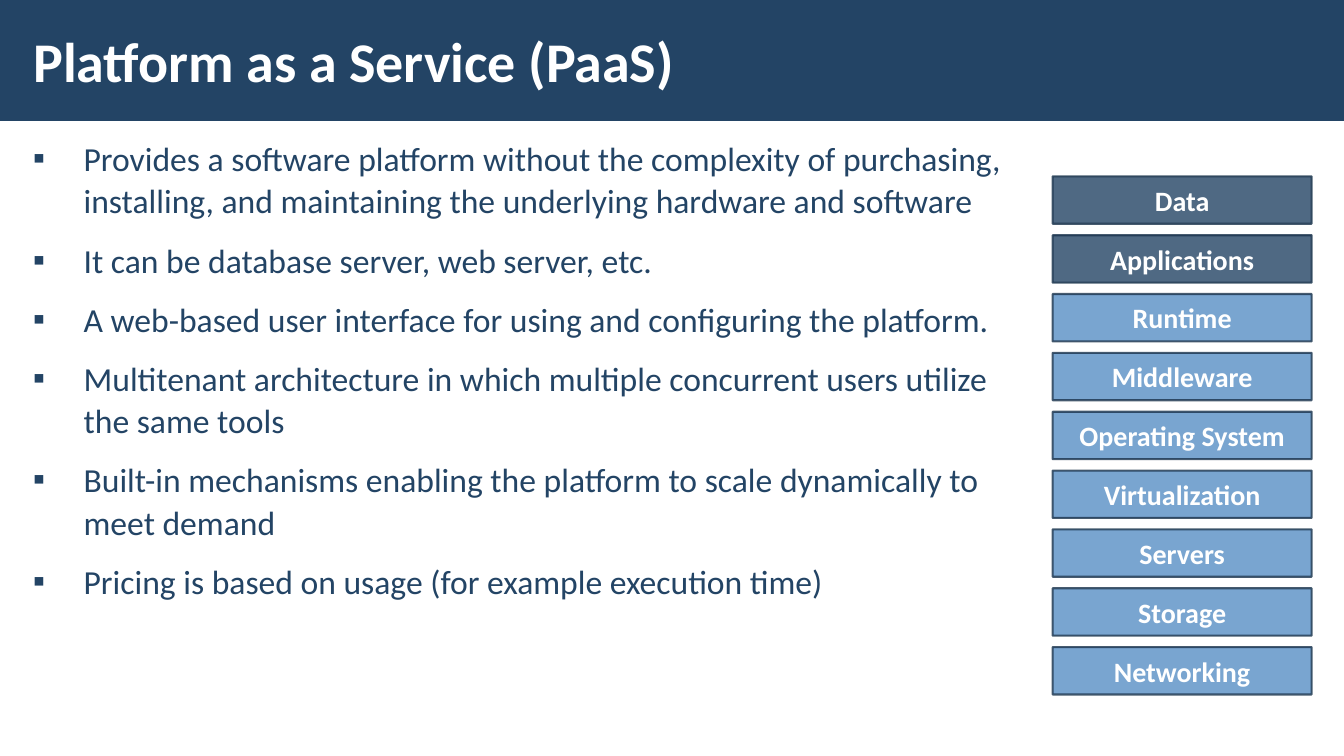
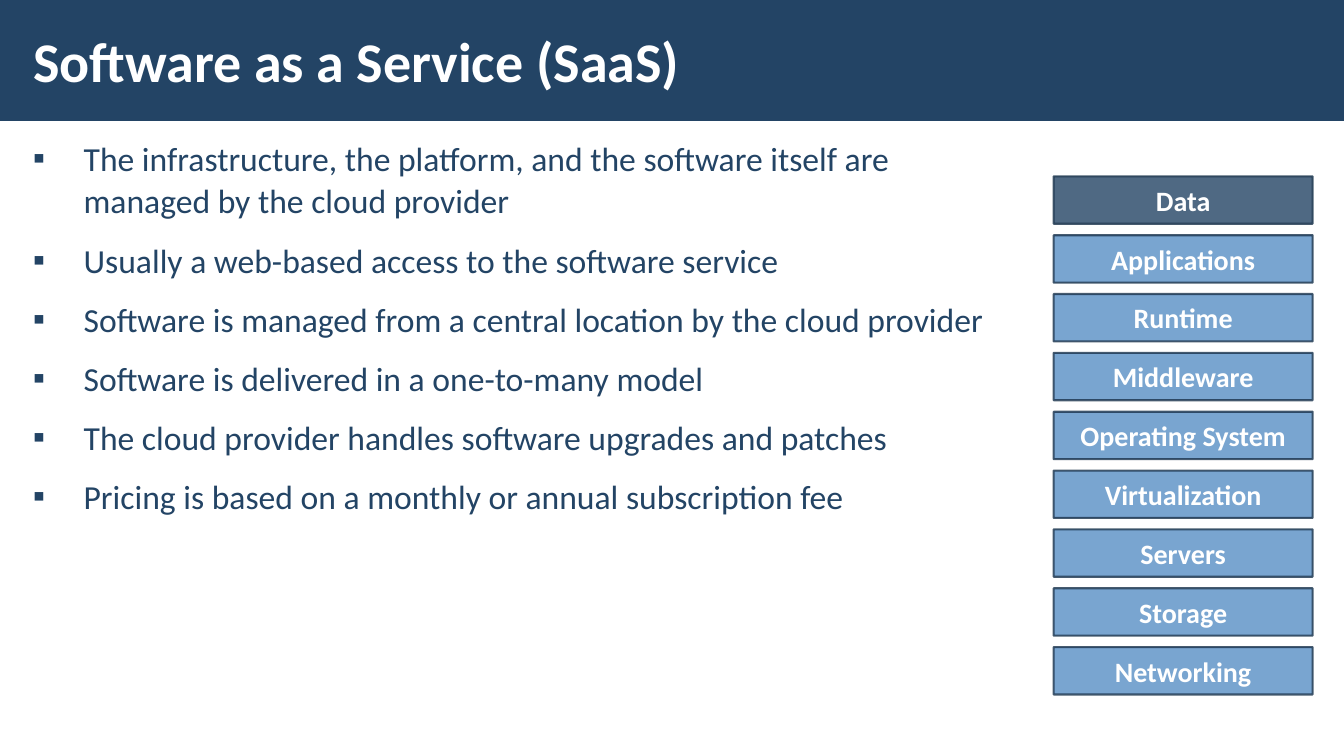
from lxml.etree import SubElement
from pptx import Presentation
from pptx.dml.color import RGBColor
from pptx.enum.shapes import MSO_SHAPE as SHAPE
from pptx.enum.text import MSO_ANCHOR as ANCHOR, MSO_AUTO_SIZE as AUTO, PP_ALIGN as ALIGN
from pptx.oxml.ns import qn
from pptx.util import Inches, Pt

NAVY = RGBColor(0x23, 0x44, 0x65)
BLUE = RGBColor(0x58, 0x8F, 0xC5)
EDGE = RGBColor(0x1A, 0x33, 0x4C)
WHITE = RGBColor(0xFF, 0xFF, 0xFF)
FONT = "Calibri"

LAYERS = ["Data", "Applications", "Runtime", "Middleware", "Operating System",
          "Virtualization", "Servers", "Storage", "Networking"]

SLIDES = [
    {
        "title": "Platform as a Service (PaaS)",
        "bullets": [
            "Provides a software platform without the complexity of purchasing, "
            "installing, and maintaining the underlying hardware and software",
            "It can be database server, web server, etc.",
            "A web-based user interface for using and configuring the platform.",
            "Multitenant architecture in which multiple concurrent users utilize the same tools",
            "Built-in mechanisms enabling the platform to scale dynamically to meet demand",
            "Pricing is based on usage (for example execution time)",
        ],
        "body_width": 9.94,
        "stack_left": 10.44,
        "customer_layers": 2,
    },
    {
        "title": "Software as a Service (SaaS)",
        "bullets": [
            "The infrastructure, the platform, and the software itself are "
            "managed by the cloud provider",
            "Usually a web-based access to the software service",
            "Software is managed from a central location by the cloud provider",
            "Software is delivered in a one-to-many model",
            "The cloud provider handles software upgrades and patches",
            "Pricing is based on a monthly or annual subscription fee",
        ],
        "body_width": 9.97,
        "stack_left": 10.45,
        "customer_layers": 1,
    },
]

MARGIN = 0.21
STACK_TOP, STACK_BOTTOM = 1.75, 6.89
LAYER_W, LAYER_H = 2.57, 0.47
LAYER_STEP = (STACK_BOTTOM - LAYER_H - STACK_TOP) / (len(LAYERS) - 1)


def add_run(p, text, size, color, bold=False):
    r = p.add_run()
    r.text = text
    r.font.name, r.font.size = FONT, Pt(size)
    r.font.color.rgb, r.font.bold = color, bold


def set_frame(tf, anchor):
    tf.word_wrap, tf.auto_size, tf.vertical_anchor = True, AUTO.NONE, anchor
    tf.margin_left = tf.margin_right = Inches(0.12)
    tf.margin_top = tf.margin_bottom = Inches(0.04)


def add_rect(slide, left, top, width, height, color):
    sp = slide.shapes.add_shape(SHAPE.RECTANGLE, Inches(left), Inches(top),
                                Inches(width), Inches(height))
    sp.shadow.inherit = False
    sp.fill.solid()
    sp.fill.fore_color.rgb = color
    return sp


def add_band(slide):
    band = add_rect(slide, 0, 0, 13.33, 1.2, NAVY)
    band.line.fill.background()
    band.width = prs.slide_width
    slide.slide_layout.shapes.element.insert(2, band.element)


def set_title(slide, text):
    sp = slide.shapes.title
    sp.left, sp.top = Inches(MARGIN), Inches(0.11)
    sp.width, sp.height = Inches(10.4), Inches(0.97)
    set_frame(sp.text_frame, ANCHOR.MIDDLE)
    p = sp.text_frame.paragraphs[0]
    p.alignment = ALIGN.LEFT
    add_run(p, text, 40, WHITE, True)


def add_bullets(slide, bullets, width):
    sp = slide.shapes.add_textbox(Inches(MARGIN), Inches(1.31), Inches(width), Inches(5.69))
    tf = sp.text_frame
    set_frame(tf, ANCHOR.TOP)
    for i, text in enumerate(bullets):
        p = tf.add_paragraph() if i else tf.paragraphs[0]
        p.line_spacing = 1.05
        p.space_before = p.space_after = Pt(6)
        pPr = p._p.get_or_add_pPr()
        pPr.set("marL", str(Inches(0.5)))
        pPr.set("indent", str(-Inches(0.5)))
        SubElement(pPr, qn("a:buFont"), typeface=FONT)
        SubElement(pPr, qn("a:buChar"), char="▪")
        add_run(p, text, 24, NAVY)


def add_layer(slide, left, top, text, color):
    sp = add_rect(slide, left, top, LAYER_W, LAYER_H, color)
    sp.line.color.rgb, sp.line.width = EDGE, Pt(1.5)
    for clr in sp.element.spPr.iter(qn("a:srgbClr")):
        SubElement(clr, qn("a:alpha"), val="80000")
    tf = sp.text_frame
    tf.vertical_anchor = ANCHOR.MIDDLE
    p = tf.paragraphs[0]
    p.alignment = ALIGN.CENTER
    add_run(p, text, 20, WHITE, True)


def add_stack(slide, left, customer_layers):
    for i, text in enumerate(LAYERS):
        color = NAVY if i < customer_layers else BLUE
        add_layer(slide, left, STACK_TOP + i * LAYER_STEP, text, color)


prs = Presentation()
prs.slide_width, prs.slide_height = Inches(13.33), Inches(7.5)
title_only = prs.slide_layouts[5]

for n, content in enumerate(SLIDES):
    slide = prs.slides.add_slide(title_only)
    if n == 0:
        add_band(slide)
    set_title(slide, content["title"])
    add_bullets(slide, content["bullets"], content["body_width"])
    add_stack(slide, content["stack_left"], content["customer_layers"])

prs.save("out.pptx")
